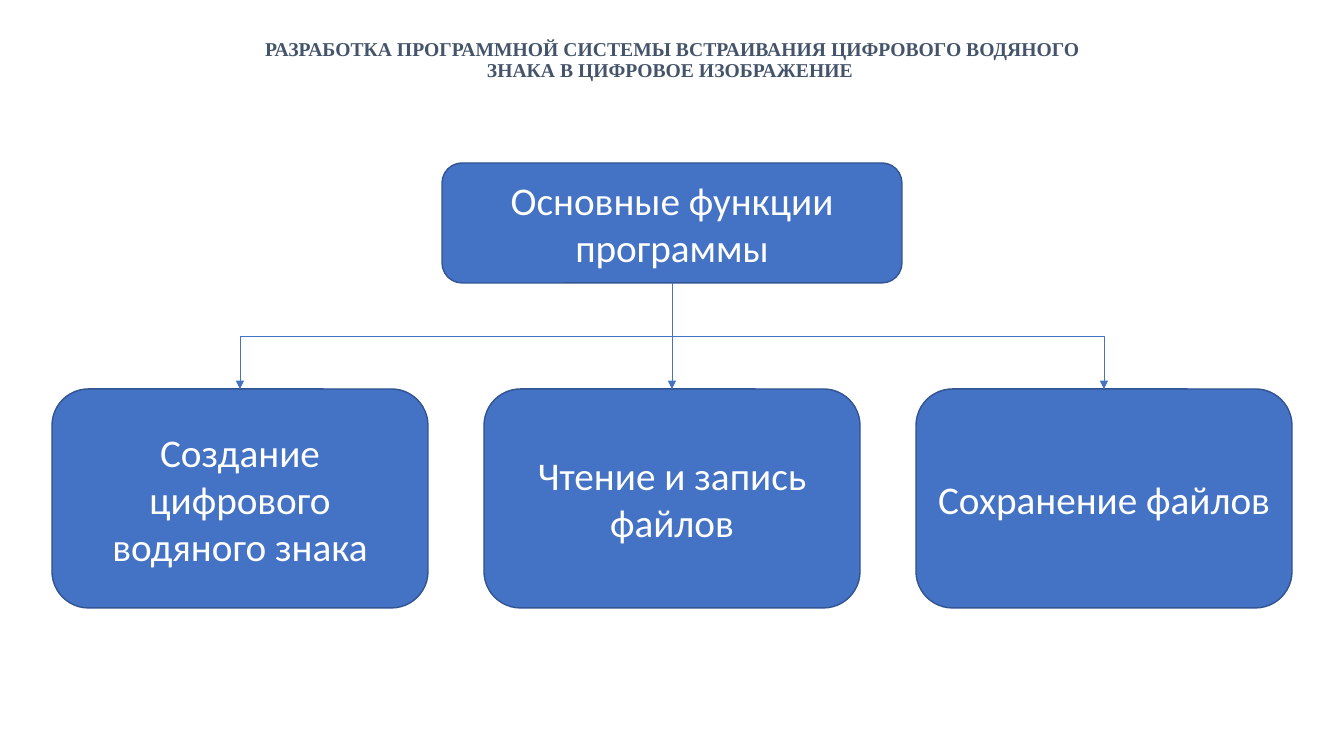
import pptx
import pptx.dml.color
import pptx.enum.shapes
import pptx.enum.text
import pptx.oxml.ns
import pptx.util
from lxml import etree

SCALE = 914400 / 100.8
BLUE = "4472C4"
FUNCTIONS = ["Создание цифрового водяного знака", "Чтение и запись файлов", "Сохранение файлов"]


def px(n):
    """Turn pixels into EMU."""
    return pptx.util.Emu(round(n * SCALE))


def rgb(value):
    """Turn a hex string into a colour."""
    return pptx.dml.color.RGBColor.from_string(value)


def place(sp, left, top, width, height):
    """Set the position and size of a shape in pixels."""
    sp.left, sp.top, sp.width, sp.height = map(px, (left, top, width, height))


def set_text(sp, text, font, size, color, bold=False):
    """Write one centred paragraph into a shape and return it."""
    tf = sp.text_frame
    tf.word_wrap = True
    tf.auto_size = pptx.enum.text.MSO_AUTO_SIZE.NONE
    tf.vertical_anchor = pptx.enum.text.MSO_ANCHOR.MIDDLE
    p = tf.paragraphs[0]
    p.text = text
    p.alignment = pptx.enum.text.PP_ALIGN.CENTER
    p.font.name, p.font.size, p.font.bold = font, pptx.util.Pt(size), bold
    p.font.color.rgb = rgb(color)
    return p


def add_title(s, text):
    """Fill the title placeholder."""
    place(s.shapes.title, 219, 30, 907, 62)
    p = set_text(s.shapes.title, text, "Times New Roman", 14, "44546A", True)
    p.line_spacing = 0.9


def add_box(s, text, left, top, width, height):
    """Add a rounded box with white text."""
    sp = s.shapes.add_shape(pptx.enum.shapes.MSO_SHAPE.ROUNDED_RECTANGLE,
                            px(left), px(top), px(width), px(height))
    sp.shadow.inherit = False
    sp.fill.solid()
    sp.fill.fore_color.rgb = rgb(BLUE)
    sp.line.color.rgb = rgb("325491")
    sp.line.width = pptx.util.Pt(1)
    set_text(sp, text, "Calibri", 28, "FFFFFF")
    return sp


def add_branch(s, parent, child):
    """Join the bottom of parent to the top of child by an elbow arrow."""
    c = s.shapes.add_connector(pptx.enum.shapes.MSO_CONNECTOR.ELBOW, 0, 0, 0, 0)
    c.begin_connect(parent, 2)
    c.end_connect(child, 0)
    x1, y1 = parent.left + parent.width // 2, parent.top + parent.height
    x2, y2 = child.left + child.width // 2, child.top
    # The elbow runs sideways by default, so it is turned about its centre.
    c.width, c.height = y2 - y1, abs(x2 - x1)
    c.left = (x1 + x2 - c.width) // 2
    c.top = (y1 + y2 - c.height) // 2
    xfrm = c._element.spPr.find(pptx.oxml.ns.qn("a:xfrm"))
    for name in ("flipH", "flipV"):
        xfrm.attrib.pop(name, None)
    rightward = x2 > x1
    xfrm.set("rot", str((270 if rightward else 90) * 60000))
    if rightward:
        xfrm.set("flipH", "1")
    c.line.color.rgb = rgb(BLUE)
    c.line.width = pptx.util.Pt(0.5)
    ln = c.line._get_or_add_ln()
    etree.SubElement(ln, pptx.oxml.ns.qn("a:tailEnd"), type="triangle")
    etree.SubElement(c._element.spPr, pptx.oxml.ns.qn("a:effectLst"))


def main():
    """Build the slide with the tree of program functions."""
    prs = pptx.Presentation()
    prs.slide_width, prs.slide_height = px(1344), px(756)
    s = prs.slides.add_slide(prs.slide_layouts[5])
    add_title(s, "РАЗРАБОТКА ПРОГРАММНОЙ СИСТЕМЫ ВСТРАИВАНИЯ ЦИФРОВОГО ВОДЯНОГО "
                 "ЗНАКА В ЦИФРОВОЕ ИЗОБРАЖЕНИЕ ")
    root = add_box(s, "Основные функции программы", 442, 163, 460, 120)
    for i, text in enumerate(FUNCTIONS):
        box = add_box(s, text, 52 + 432 * i, 389, 376, 219)
        add_branch(s, root, box)
    prs.save("out.pptx")


main()
